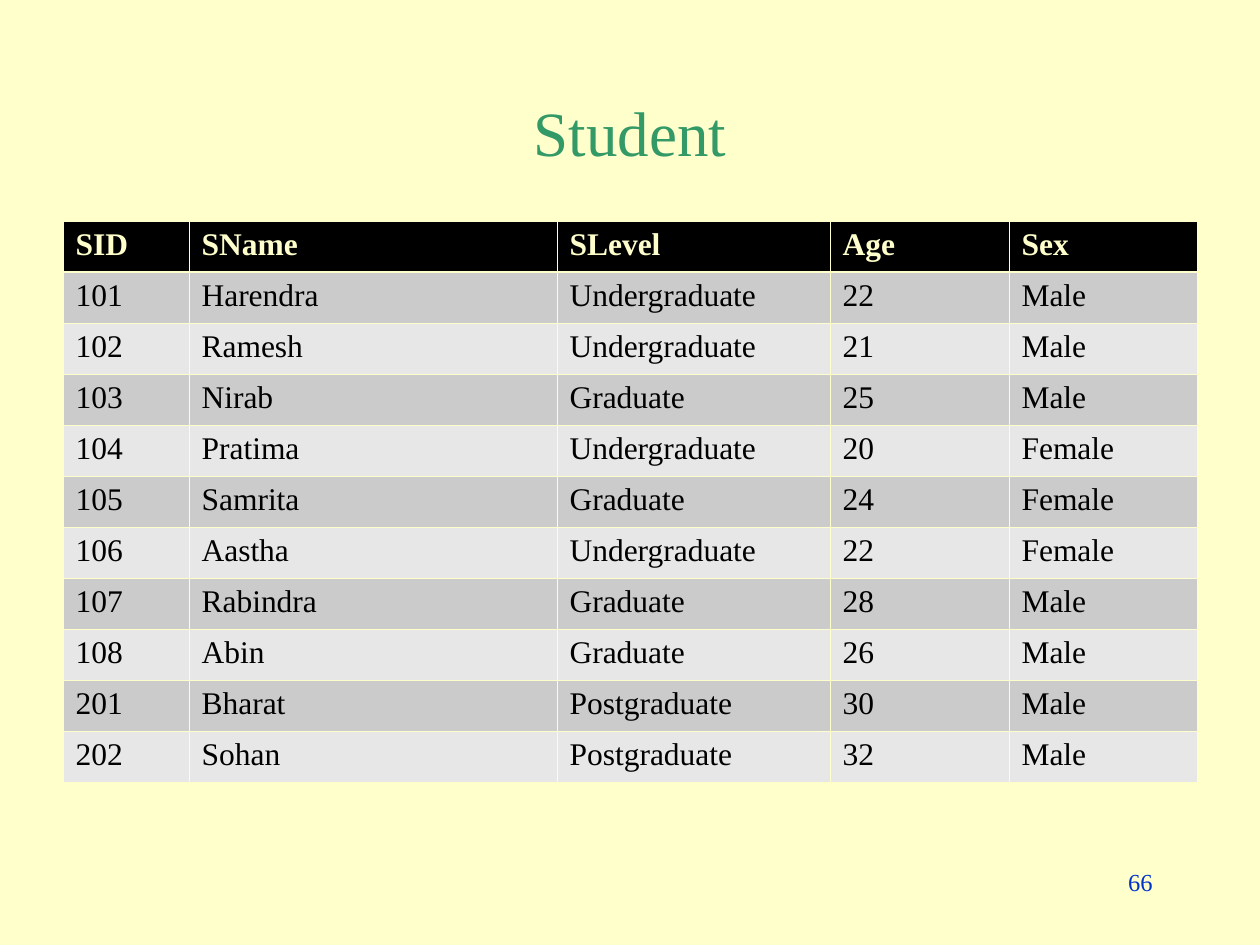
from lxml.etree import SubElement
from pptx import Presentation
from pptx.dml.color import RGBColor
from pptx.enum.text import MSO_ANCHOR, PP_ALIGN
from pptx.oxml.ns import qn
from pptx.util import Pt

SCALE = 914400 / 126
FONT = "Times New Roman"
CREAM, BLACK, GREEN, BLUE = "FFFFCC", "000000", "339966", "0033CC"
BANDS = ["CBCBCB", "E7E7E7"]
THIN, THICK = 0.45, 1.47

TITLE = "Student"
PAGE_NUMBER = "66"
STUDENTS = [
    ("SID", "SName", "SLevel", "Age", "Sex"),
    ("101", "Harendra", "Undergraduate", "22", "Male"),
    ("102", "Ramesh", "Undergraduate", "21", "Male"),
    ("103", "Nirab", "Graduate", "25", "Male"),
    ("104", "Pratima", "Undergraduate", "20", "Female"),
    ("105", "Samrita", "Graduate", "24", "Female"),
    ("106", "Aastha", "Undergraduate", "22", "Female"),
    ("107", "Rabindra", "Graduate", "28", "Male"),
    ("108", "Abin", "Graduate", "26", "Male"),
    ("201", "Bharat", "Postgraduate", "30", "Male"),
    ("202", "Sohan", "Postgraduate", "32", "Male"),
]
TITLE_BOX = (95, 84, 1070, 95)
NUMBER_BOX = (903, 861, 262, 63)
TABLE_LEFT, TABLE_TOP, TABLE_HEIGHT = 63, 221, 562
COLUMN_WIDTHS = [126, 368, 273, 179, 188]


def px(length):
    return round(length * SCALE)


def color(value):
    return RGBColor.from_string(value)


def write(frame, text, size=18, fill=BLACK, bold=False, align=PP_ALIGN.LEFT):
    paragraph = frame.paragraphs[0]
    paragraph.alignment = align
    run = paragraph.add_run()
    run.text = text
    run.font.name = FONT
    run.font.size = Pt(size)
    run.font.bold = bold
    run.font.color.rgb = color(fill)


def add_text(slide, box, text, anchor=MSO_ANCHOR.TOP, **style):
    frame = slide.shapes.add_textbox(*map(px, box)).text_frame
    frame.word_wrap = True
    frame.vertical_anchor = anchor
    write(frame, text, **style)


def add_borders(cell, top, bottom):
    properties = cell._tc.get_or_add_tcPr()
    for side, width in (("L", THIN), ("R", THIN), ("T", top), ("B", bottom)):
        line = SubElement(properties, qn(f"a:ln{side}"), w=str(Pt(width)))
        fill = SubElement(line, qn("a:solidFill"))
        SubElement(fill, qn("a:srgbClr"), val=CREAM)


def add_students(slide):
    table = slide.shapes.add_table(
        len(STUDENTS), len(COLUMN_WIDTHS), px(TABLE_LEFT), px(TABLE_TOP),
        px(sum(COLUMN_WIDTHS)), px(TABLE_HEIGHT)).table
    for column, width in zip(table.columns, COLUMN_WIDTHS):
        column.width = px(width)
    for row_index, values in enumerate(STUDENTS):
        header = row_index == 0
        for column_index, value in enumerate(values):
            cell = table.cell(row_index, column_index)
            add_borders(cell, THICK if row_index == 1 else THIN, THICK if header else THIN)
            cell.fill.solid()
            cell.fill.fore_color.rgb = color(BLACK if header else BANDS[(row_index - 1) % 2])
            write(cell.text_frame, value, fill=CREAM if header else BLACK, bold=header)


presentation = Presentation()
presentation.slide_width, presentation.slide_height = px(1260), px(945)
slide = presentation.slides.add_slide(presentation.slide_layouts[6])
slide.background.fill.solid()
slide.background.fill.fore_color.rgb = color(CREAM)
add_text(slide, TITLE_BOX, TITLE, anchor=MSO_ANCHOR.MIDDLE, size=36, fill=GREEN, align=PP_ALIGN.CENTER)
add_students(slide)
add_text(slide, NUMBER_BOX, PAGE_NUMBER, size=14, fill=BLUE, align=PP_ALIGN.RIGHT)
presentation.save("out.pptx")
